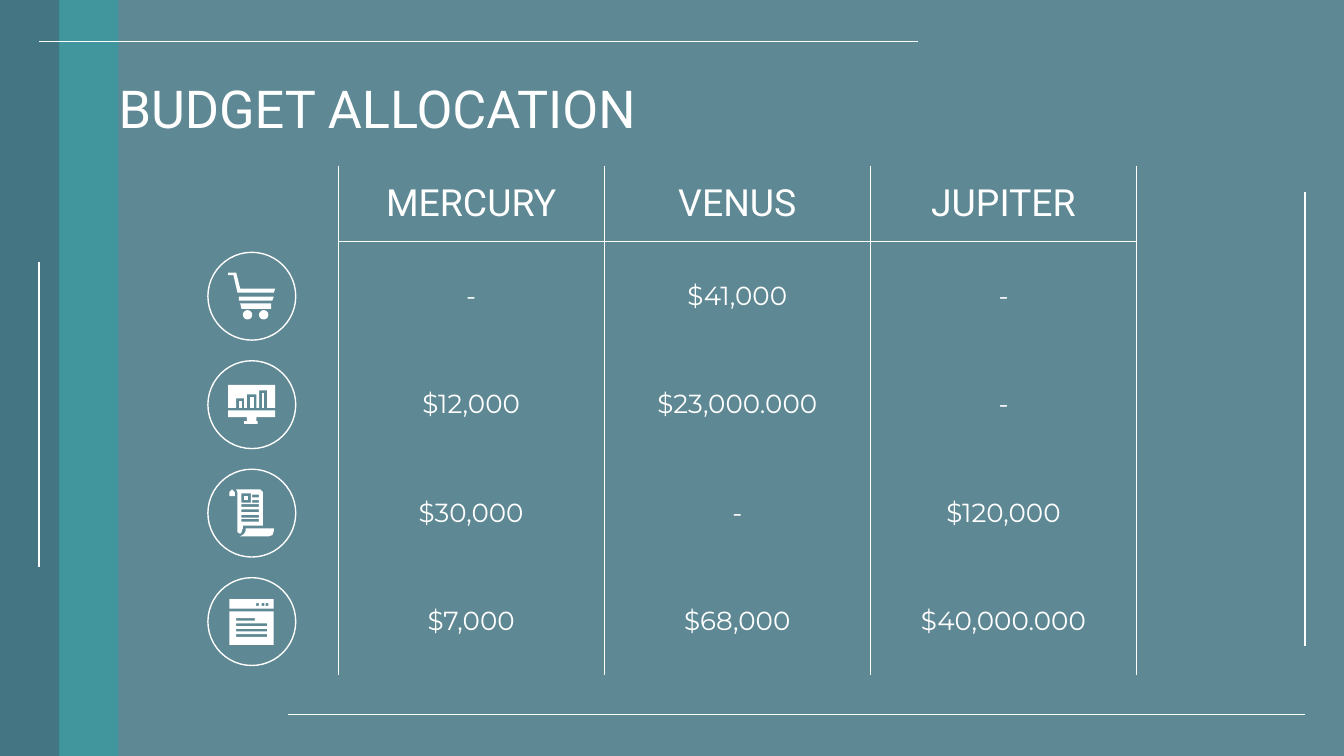
from lxml import etree
from pptx import Presentation
from pptx.dml.color import RGBColor
from pptx.enum import shapes, text
from pptx.oxml.ns import qn
from pptx.util import Cm, Pt

WHITE = RGBColor(0xFF, 0xFF, 0xFF)
NAVY = RGBColor(0x01, 0x43, 0x55)
TEAL = RGBColor(0x20, 0xA7, 0xA7)

WIDTH, HEIGHT, BAND = 25.4, 14.29, 1.12
LINE_WIDTH = Pt(0.75)
BADGE_LEFT, BADGE_TOP, BADGE_SIZE, BADGE_STEP = 3.93, 4.77, 1.66, 2.05
ICON_UNIT = 0.0254  # cm per icon grid unit, counted from a badge's top left

ROWS = [
    ["MERCURY", "VENUS", "JUPITER"],
    ["-", "$41,000", "-"],
    ["$12,000", "$23,000.000", "-"],
    ["$30,000", "-", "$120,000"],
    ["$7,000", "$68,000", "$40,000.000"],
]


def block(left, top, right, bottom):
    """Return the corners of a rectangle on the icon grid."""
    return [(left, top), (left, bottom), (right, bottom), (right, top)]


# Each icon is a list of pieces; a piece is an outline followed by its holes.
CART = [
    [[(15, 15), (15, 17), (19, 17), (22, 30), (49, 30), (50, 27), (24, 27), (21, 15)]],
    [[(23, 33), (23, 36), (48, 36), (49, 33)]],
    [[(24, 38), (25, 42), (47, 42), (47, 38)]],
]
CART_WHEELS = [(26, 43), (38, 43)]
MONITOR = [
    [[(15, 18), (15, 35), (21, 35), (21, 28), (27, 28), (27, 35), (29, 35), (29, 25),
      (36, 25), (36, 35), (38, 35), (38, 22), (44, 22), (44, 35), (50, 35), (50, 18)]],
    [block(23, 30, 25, 35)],
    [block(31, 27, 34, 35)],
    [block(40, 24, 42, 35)],
    [[(15, 37), (15, 42), (29, 42), (29, 45), (27, 45), (27, 47),
      (37, 47), (37, 45), (36, 45), (36, 42), (50, 42), (50, 37)]],
]
SCROLL = [
    [[(18, 15), (16.6, 15.6), (16, 17), (16, 20), (20, 20), (20, 17), (19.4, 15.6)]],
    [[(21, 15), (22, 17), (22, 46), (22.5, 47.4), (24, 48), (25.4, 47), (26, 44),
      (26, 42), (41, 42), (41, 17), (40.4, 15.6), (39, 15)],
     block(25, 18, 32, 25), block(33, 19, 38, 21), block(33, 23, 38, 25),
     *[block(25, top, 38, top + 2) for top in (26, 30, 34, 37)]],
    [block(27, 20, 30, 23)],
    [[(28, 44), (28, 46), (27, 48), (24, 50), (45, 50), (47.8, 48.8), (49, 46), (49, 44)]],
]
BROWSER = [
    [block(16, 16, 49, 23), *[block(left, 19, left + 2, 21) for left in (36, 40, 43)]],
    [block(16, 25, 49, 50), block(21, 30, 35, 32),
     *[block(21, top, 44, top + 2) for top in (34, 38, 42)]],
]


def paint(shape, color, opacity=100):
    shape.shadow.inherit = False
    shape.line.fill.background()
    shape.fill.solid()
    shape.fill.fore_color.rgb = color
    if opacity < 100:
        tint = shape.fill._xPr.find(".//" + qn("a:srgbClr"))
        etree.SubElement(tint, qn("a:alpha"), val=str(opacity * 1000))


def add_panel(page, left, width, color, opacity):
    panel = page.shapes.add_shape(
        shapes.MSO_SHAPE.RECTANGLE, Cm(left), 0, Cm(width), Cm(HEIGHT))
    paint(panel, color, opacity)


def add_rule(page, *ends):
    rule = page.shapes.add_connector(
        shapes.MSO_CONNECTOR.STRAIGHT, *[Cm(end) for end in ends])
    rule.line.color.rgb = WHITE
    rule.line.width = LINE_WIDTH
    etree.SubElement(rule._element.spPr, qn("a:effectLst"))


def format_text(frame, font_name, size, align):
    paragraph = frame.paragraphs[0]
    paragraph.alignment = align
    font = paragraph.runs[0].font
    font.name, font.size, font.bold = font_name, Pt(size), False
    font.color.rgb = WHITE


def set_title(page, wording):
    title = page.shapes.title
    title.left, title.top, title.width, title.height = Cm(1.99), Cm(1.2), Cm(21.43), Cm(1.3)
    frame = title.text_frame
    frame.text = wording
    frame.auto_size = text.MSO_AUTO_SIZE.NONE
    frame.vertical_anchor = text.MSO_ANCHOR.TOP
    frame.margin_left = frame.margin_right = Cm(0.25)
    frame.margin_top = frame.margin_bottom = Cm(0.25)
    format_text(frame, "Roboto", 28, text.PP_ALIGN.LEFT)
    page.shapes._spTree.append(title._element)  # in front of the panels


def set_borders(cell, visible):
    """Draw the named sides (L, R, T, B) in white and hide the others."""
    properties = cell._tc.get_or_add_tcPr()
    for side in "LRTB":
        border = etree.SubElement(properties, qn("a:ln" + side), w=str(LINE_WIDTH))
        if side in visible:
            fill = etree.SubElement(border, qn("a:solidFill"))
            etree.SubElement(fill, qn("a:srgbClr"), val=str(WHITE))
        else:
            etree.SubElement(border, qn("a:noFill"))


def add_budget_table(page):
    heights = [1.44] + [BADGE_STEP] * (len(ROWS) - 1)
    column_width = 5.03
    table = page.shapes.add_table(
        len(ROWS), len(ROWS[0]), Cm(6.39), Cm(3.13),
        Cm(column_width * len(ROWS[0])), Cm(sum(heights))).table
    table.first_row = table.horz_banding = False
    for column in table.columns:
        column.width = Cm(column_width)
    for index, (row, height, values) in enumerate(zip(table.rows, heights, ROWS)):
        row.height = Cm(height)
        font_name, size = ("Montserrat", 14) if index else ("Roboto", 20)
        for cell, value in zip(row.cells, values):
            cell.text = value
            cell.vertical_anchor = text.MSO_ANCHOR.MIDDLE
            cell.margin_left = cell.margin_right = Cm(0.25)
            cell.margin_top = cell.margin_bottom = Cm(0.25)
            format_text(cell.text_frame, font_name, size, text.PP_ALIGN.CENTER)
            set_borders(cell, {0: "LRB", 1: "LRT"}.get(index, "LR"))
            cell.fill.background()


def add_badge(page, top):
    badge = page.shapes.add_shape(
        shapes.MSO_SHAPE.OVAL, Cm(BADGE_LEFT), Cm(top), Cm(BADGE_SIZE), Cm(BADGE_SIZE))
    badge.shadow.inherit = False
    badge.fill.background()
    badge.line.color.rgb = WHITE
    badge.line.width = LINE_WIDTH


def add_icon(page, top, pieces):
    for contours in pieces:
        builder = page.shapes.build_freeform(*contours[0][0], scale=Cm(ICON_UNIT))
        builder.add_line_segments(contours[0][1:], close=True)
        for hole in contours[1:]:
            builder.move_to(*hole[0])
            builder.add_line_segments(hole[1:], close=True)
        paint(builder.convert_to_shape(Cm(BADGE_LEFT), Cm(top)), WHITE)


def add_wheels(page, top):
    size = Cm(7 * ICON_UNIT)
    for x, y in CART_WHEELS:
        wheel = page.shapes.add_shape(
            shapes.MSO_SHAPE.OVAL, Cm(BADGE_LEFT + x * ICON_UNIT),
            Cm(top + y * ICON_UNIT), size, size)
        paint(wheel, WHITE)


def main():
    deck = Presentation()
    deck.slide_width, deck.slide_height = Cm(WIDTH), Cm(HEIGHT)
    page = deck.slides.add_slide(deck.slide_layouts[5])

    add_panel(page, 0, WIDTH, NAVY, 63)
    add_panel(page, BAND, BAND, TEAL, 47)
    add_panel(page, 0, BAND, NAVY, 27)
    add_rule(page, 24.66, 3.63, 24.66, 12.21)
    add_rule(page, 24.66, 13.5, 5.44, 13.5)
    add_rule(page, 0.74, 0.78, 17.34, 0.78)
    add_rule(page, 0.74, 4.95, 0.74, 10.72)

    set_title(page, "BUDGET ALLOCATION")
    add_budget_table(page)
    for index, icon in enumerate([CART, MONITOR, SCROLL, BROWSER]):
        top = BADGE_TOP + index * BADGE_STEP
        add_badge(page, top)
        add_icon(page, top, icon)
    add_wheels(page, BADGE_TOP)

    deck.save("out.pptx")


if __name__ == "__main__":
    main()
